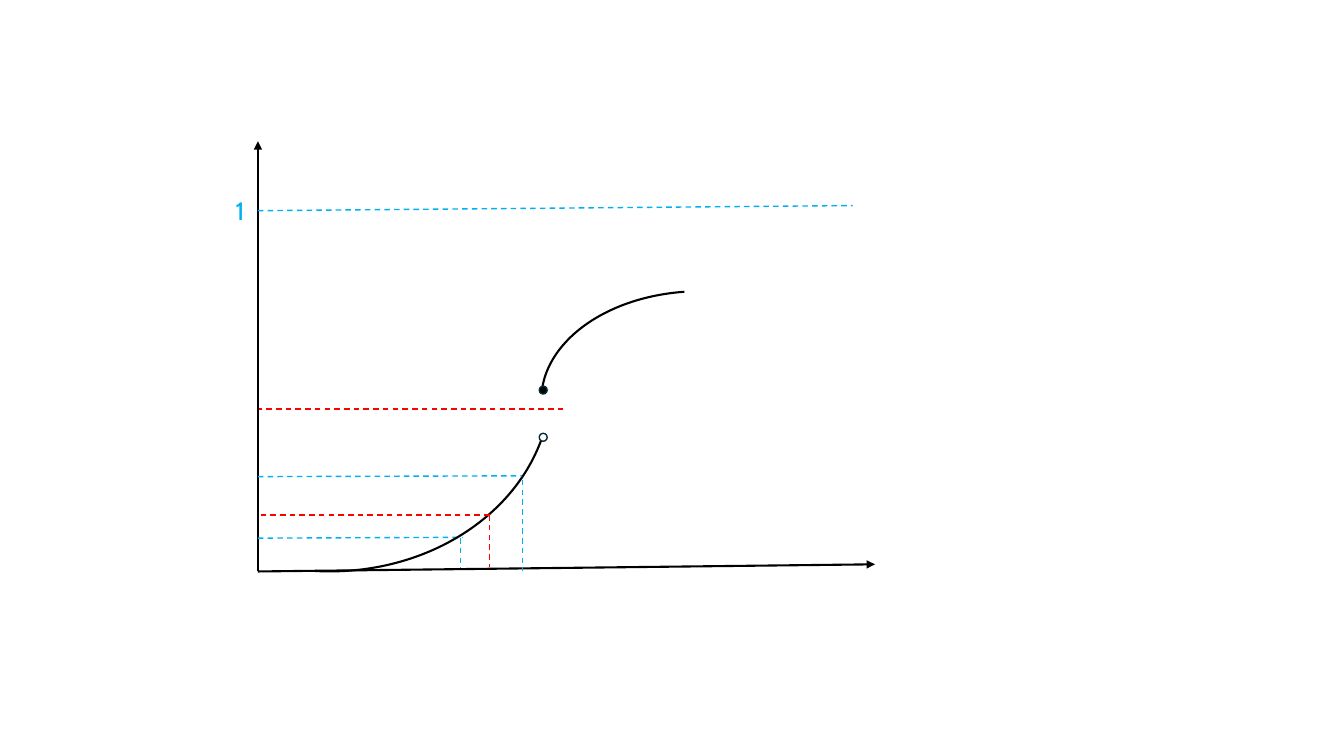
from dataclasses import dataclass
from typing import Optional

import pptx
import pptx.dml.color
import pptx.enum.dml
import pptx.enum.shapes
import pptx.enum.text
import pptx.oxml
import pptx.oxml.ns
import pptx.shapes.autoshape
import pptx.shapes.shapetree
import pptx.util
from pptx.dml.color import RGBColor
from pptx.util import Cm

BLACK = RGBColor(0x00, 0x00, 0x00)
WHITE = RGBColor(0xFF, 0xFF, 0xFF)
BLUE = RGBColor(0x00, 0xB0, 0xF0)
RED = RGBColor(0xFF, 0x00, 0x00)
DOT_EDGE = RGBColor(0x09, 0x2A, 0x39)

ORIGIN_X = 6.5
ORIGIN_Y = 14.4
GUIDE_FOOT = 14.3
JUMP_X = 13.59
DOT_SIZE = 0.2


@dataclass(frozen=True)
class Segment:
    x1: float
    y1: float
    x2: float
    y2: float
    color: RGBColor


@dataclass(frozen=True)
class Curve:
    left: float
    top: float
    width: float
    height: float
    start: float
    end: float


@dataclass(frozen=True)
class Dot:
    top: float
    fill: RGBColor


AXES = (
    Segment(ORIGIN_X, ORIGIN_Y, ORIGIN_X, 3.56, BLACK),
    Segment(ORIGIN_X, ORIGIN_Y, 22.05, 14.22, BLACK),
)
LEVEL_GUIDES = (
    Segment(ORIGIN_X, 5.31, 21.49, 5.18, BLUE),
    Segment(ORIGIN_X, 13.56, 11.66, 13.54, BLUE),
)
POINT_GUIDES = (
    Segment(12.34, 12.98, ORIGIN_X, 12.98, RED),
    Segment(12.34, 12.98, 12.34, GUIDE_FOOT, RED),
)
RANGE_GUIDES = (
    Segment(ORIGIN_X, 12.01, 13.16, 11.99, BLUE),
    Segment(11.61, 13.56, 11.61, GUIDE_FOOT, BLUE),
    Segment(13.16, 12.09, 13.16, ORIGIN_Y, BLUE),
    Segment(14.2, 10.31, 6.53, 10.31, RED),
)
UPPER_CURVE = Curve(13.64, 7.34, 8.03, 5.49, 183.94, 261.52)
LOWER_CURVE = Curve(2.74, 5.0, 11.15, 9.4, 12.95, 94.65)
CLOSED_DOT = Dot(9.73, BLACK)
OPEN_DOT = Dot(10.92, WHITE)


def draw_segment(
    page_shapes: pptx.shapes.shapetree.SlideShapes,
    segment: Segment,
    width: float = 1,
    dash: Optional[pptx.enum.dml.MSO_LINE] = pptx.enum.dml.MSO_LINE.DASH,
    arrow: bool = False,
) -> None:
    connector = page_shapes.add_connector(
        pptx.enum.shapes.MSO_CONNECTOR.STRAIGHT,
        Cm(segment.x1), Cm(segment.y1), Cm(segment.x2), Cm(segment.y2),
    )
    connector.line.color.rgb = segment.color
    connector.line.width = pptx.util.Pt(width)
    if dash is not None:
        connector.line.dash_style = dash
    properties = connector._element.spPr
    if arrow:
        tail = pptx.oxml.parse_xml(
            f'<a:tailEnd {pptx.oxml.ns.nsdecls("a")} type="triangle"/>'
        )
        properties.find(pptx.oxml.ns.qn("a:ln")).append(tail)
    properties.append(
        pptx.oxml.parse_xml(f'<a:effectLst {pptx.oxml.ns.nsdecls("a")}/>')
    )


def draw_curve(
    shapes: pptx.shapes.shapetree._BaseGroupShapes, curve: Curve
) -> None:
    arc = shapes.add_shape(
        pptx.enum.shapes.MSO_SHAPE.ARC,
        Cm(curve.left), Cm(curve.top), Cm(curve.width), Cm(curve.height),
    )
    arc.shadow.inherit = False
    arc.fill.background()
    arc.line.color.rgb = BLACK
    arc.line.width = pptx.util.Pt(1.5)
    for index, degrees in enumerate((curve.start, curve.end)):
        arc.adjustments[index] = degrees * 0.6


def draw_dot(shapes: pptx.shapes.shapetree._BaseGroupShapes, dot: Dot) -> None:
    circle = shapes.add_shape(
        pptx.enum.shapes.MSO_SHAPE.OVAL,
        Cm(JUMP_X), Cm(dot.top), Cm(DOT_SIZE), Cm(DOT_SIZE),
    )
    circle.shadow.inherit = False
    circle.fill.solid()
    circle.fill.fore_color.rgb = dot.fill
    circle.line.color.rgb = DOT_EDGE
    circle.line.width = pptx.util.Pt(1)


def draw_limit_label(page_shapes: pptx.shapes.shapetree.SlideShapes) -> None:
    box = page_shapes.add_textbox(Cm(5.69), Cm(4.8), Cm(1.27), Cm(1.02))
    box.text_frame.word_wrap = True
    box.text_frame.auto_size = pptx.enum.text.MSO_AUTO_SIZE.SHAPE_TO_FIT_TEXT
    para = box.text_frame.paragraphs[0]
    para.text = "1"
    para.font.name = "Cabin"
    para.font.size = pptx.util.Pt(18)
    para.font.color.rgb = BLUE


def main() -> None:
    deck = pptx.Presentation()
    deck.slide_width = Cm(33.87)
    deck.slide_height = Cm(19.05)
    page = deck.slides.add_slide(deck.slide_layouts[6])

    for axis in AXES:
        draw_segment(page.shapes, axis, width=1.5, dash=None, arrow=True)
    for guide in LEVEL_GUIDES:
        draw_segment(page.shapes, guide)
    draw_limit_label(page.shapes)

    upper_branch = page.shapes.add_group_shape()
    draw_curve(upper_branch.shapes, UPPER_CURVE)
    draw_dot(upper_branch.shapes, CLOSED_DOT)

    draw_curve(page.shapes, LOWER_CURVE)
    for guide in POINT_GUIDES:
        draw_segment(page.shapes, guide)
    draw_dot(page.shapes, OPEN_DOT)
    for guide in RANGE_GUIDES:
        draw_segment(page.shapes, guide)

    deck.save("out.pptx")


if __name__ == "__main__":
    main()
